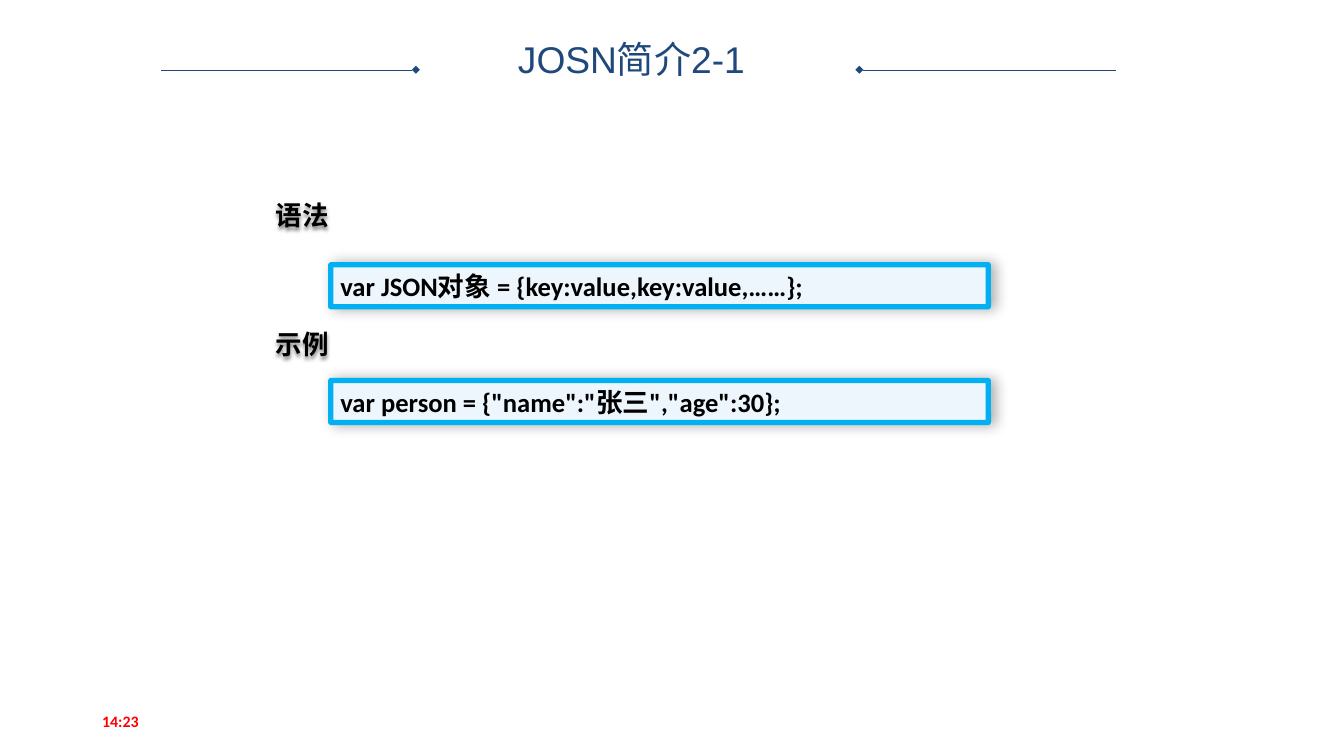
from lxml.etree import SubElement
from pptx import Presentation
from pptx.dml.color import RGBColor
from pptx.enum.shapes import MSO_CONNECTOR as Connector, MSO_SHAPE as Shape
from pptx.enum.text import MSO_ANCHOR as Anchor, PP_ALIGN as Align
from pptx.oxml.ns import qn
from pptx.util import Inches, Pt


def color(hex_text):
    return RGBColor.from_string(hex_text)


class SlideBuilder:
    navy, black, red = "1F497D", "000000", "FF0000"
    code_fill, code_line = "EDF5FD", "00B0F0"
    title_font, code_font, chinese_font = "Arial", "Calibri", "Noto Sans CJK SC"

    def __init__(self, deck):
        self.deck = deck
        self.page = deck.slides.add_slide(deck.slide_layouts[6])

    def across(self, percent):
        return round(self.deck.slide_width * percent / 100)

    def down(self, percent):
        return round(self.deck.slide_height * percent / 100)

    def area(self, left, top, width, height):
        return self.across(left), self.down(top), self.across(width), self.down(height)

    def add_text(self, box, text, size, font, ink, bold=True, align=Align.LEFT, wrap=True):
        frame = box.text_frame
        frame.word_wrap = wrap
        frame.vertical_anchor = Anchor.MIDDLE
        para = frame.paragraphs[0]
        para.alignment = align
        span = para.add_run()
        span.text = text
        span.font.size = Pt(size)
        span.font.bold = bold
        span.font.name = font
        span.font.color.rgb = color(ink)
        SubElement(span.font._element, qn("a:ea"), typeface=self.chinese_font)
        return para

    def cast_shadow(self, box, blur, distance, degrees, opacity):
        box.shadow.inherit = False
        effects = box._element.spPr.find(qn("a:effectLst"))
        shadow = SubElement(effects, qn("a:outerShdw"), blurRad=str(Pt(blur)),
                            dist=str(Pt(distance)), dir=str(degrees * 60000),
                            algn="ctr", rotWithShape="0")
        tint = SubElement(shadow, qn("a:srgbClr"), val=self.black)
        SubElement(tint, qn("a:alpha"), val=str(opacity * 1000))

    def rule(self, inner, outer, top):
        rule = self.page.shapes.add_connector(
            Connector.STRAIGHT, self.across(inner), self.down(top),
            self.across(outer), self.down(top))
        rule.line.color.rgb = color(self.navy)
        rule.line.width = Pt(0.25)
        properties = rule._element.spPr
        SubElement(properties.find(qn("a:ln")), qn("a:headEnd"), type="diamond")
        SubElement(properties, qn("a:effectLst"))

    def title(self, text, *place):
        box = self.page.shapes.add_textbox(*self.area(*place))
        para = self.add_text(box, text, 28, self.title_font, self.navy, False, Align.CENTER)
        para.line_spacing = 0.9

    def clock(self, text, *place):
        box = self.page.shapes.add_textbox(*self.area(*place))
        self.add_text(box, text, 12, self.code_font, self.red)

    def label(self, text, *place):
        box = self.page.shapes.add_textbox(*self.area(*place))
        self.add_text(box, text, 20, self.chinese_font, self.black, wrap=False)
        self.cast_shadow(box, 3, 2, 90, 50)

    def code(self, text, *place):
        box = self.page.shapes.add_shape(Shape.ROUNDED_RECTANGLE, *self.area(*place))
        box.adjustments[0] = 0.01
        box.fill.solid()
        box.fill.fore_color.rgb = color(self.code_fill)
        box.line.color.rgb = color(self.code_line)
        box.line.width = Pt(4)
        self.cast_shadow(box, 10, 3, 0, 30)
        self.add_text(box, text, 20, self.code_font, self.black)


def main():
    deck = Presentation()
    deck.slide_width, deck.slide_height = Inches(14.06), Inches(7.91)
    slide = SlideBuilder(deck)

    for inner, outer in ((30.94, 11.95), (63.94, 83)):
        slide.rule(inner, outer, 9.23)
    slide.title("JOSN简介2-1", 25.18, 5.18, 43.6, 5.94)

    row_height = 5.56
    sections = (
        ("语法", 25.66, "var JSON对象 = {key:value,key:value,……};", 35.02),
        ("示例", 42.73, 'var person = {"name":"张三","age":30};', 50.32),
    )
    for heading, heading_top, code, code_top in sections:
        slide.label(heading, 19.8, heading_top, 5.48, row_height)
        slide.code(code, 24.61, code_top, 48.93, row_height)

    slide.clock("14:23", 6.9, 92.67, 22.48, 5.31)
    deck.save("out.pptx")


if __name__ == "__main__":
    main()
